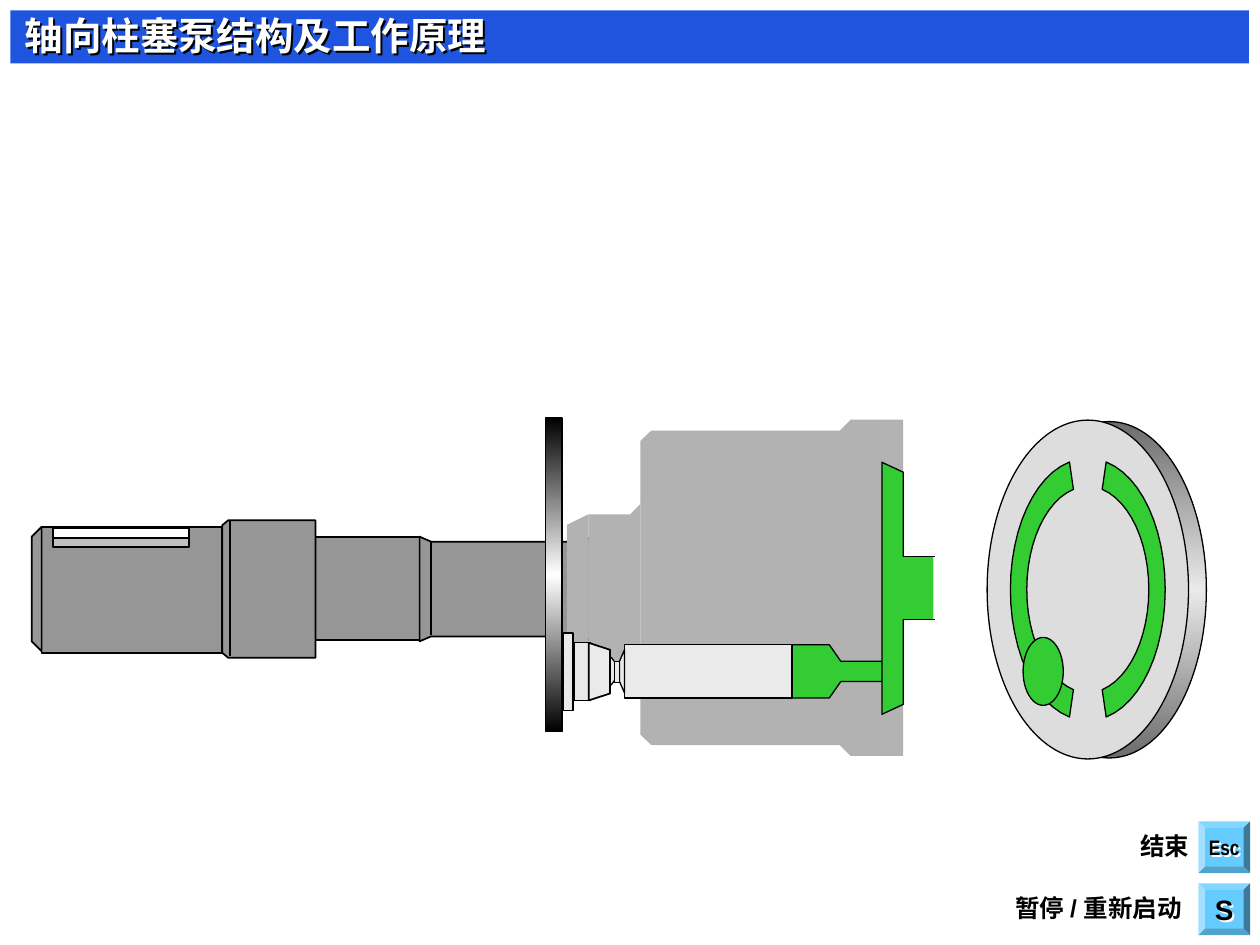
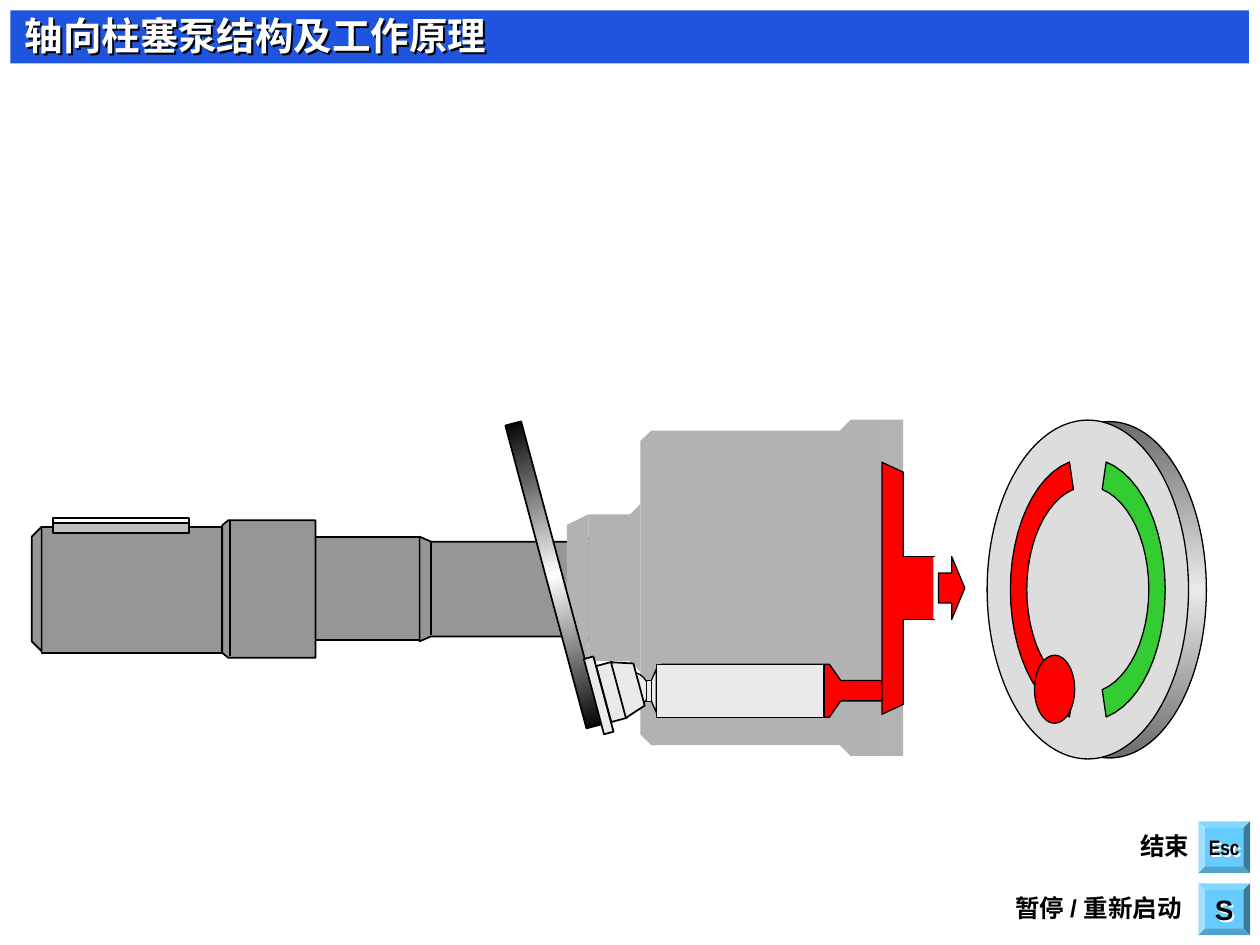
import copy
import math
from collections import namedtuple

import pptx
import pptx.util
from lxml import etree
from pptx.dml.color import RGBColor
from pptx.enum.shapes import MSO_CONNECTOR, MSO_SHAPE
from pptx.enum.text import MSO_ANCHOR, MSO_AUTO_SIZE, PP_ALIGN
from pptx.oxml.ns import qn
from pptx.util import Cm

BLACK = RGBColor(0x00, 0x00, 0x00)
WHITE = RGBColor(0xFF, 0xFF, 0xFF)
BAND = RGBColor(0x1E, 0x54, 0xDE)
BUTTON = RGBColor(0x66, 0xCC, 0xFF)
SUCTION = RGBColor(0x33, 0xCC, 0x33)
PRESSURE = RGBColor(0xFF, 0x00, 0x00)
SHAFT = RGBColor(0x96, 0x96, 0x96)
BLOCK = RGBColor(0xB2, 0xB2, 0xB2)
FLANGE = RGBColor(0xB3, 0xB3, 0xB3)
STEEL = RGBColor(0xEA, 0xEA, 0xEA)
FACE = RGBColor(0xDD, 0xDD, 0xDD)
RIM = RGBColor(0x6C, 0x6C, 0x6C)
KEYWAY = RGBColor(0xC0, 0xC0, 0xC0)

THIN, MEDIUM = 0.75, 1
TITLE = "轴向柱塞泵结构及工作原理"

# All lengths are in centimetres
Box = namedtuple("Box", "left top width height")


# Drawing helpers
def paint(sp, fill, line):
    """Fill with one colour, or with a list of edge and middle colours."""
    sp.shadow.inherit = False
    if isinstance(fill, list):
        edge, middle = fill
        sp.fill.gradient()
        sp.fill.gradient_angle = 90
        stops = sp._element.spPr.find(".//" + qn("a:gsLst"))
        stops.append(copy.deepcopy(stops[-1]))
        for stop, color, position in zip(sp.fill.gradient_stops, (edge, middle, edge), (0, 0.5, 1)):
            stop.color.rgb = color
            stop.position = position
    else:
        sp.fill.solid()
        sp.fill.fore_color.rgb = fill
    if line:
        sp.line.color.rgb = BLACK
        sp.line.width = pptx.util.Pt(line)
    else:
        sp.line.fill.background()


def preset(s, kind, box, x, y, w, h, fill, line=None):
    sp = s.shapes.add_shape(kind, Cm(box.left + x), Cm(box.top + y), Cm(w), Cm(h))
    paint(sp, fill, line)
    return sp


def rect(s, box, *args):
    return preset(s, MSO_SHAPE.RECTANGLE, box, *args)


def ellipse(s, box, *args):
    return preset(s, MSO_SHAPE.OVAL, box, *args)


def outline(s, box, points, fill, line=None):
    points = [(Cm(x), Cm(y)) for x, y in points]
    builder = s.shapes.build_freeform(*points[0])
    builder.add_line_segments(points[1:], close=True)
    paint(builder.convert_to_shape(Cm(box.left), Cm(box.top)), fill, line)


def mirrored(half, height):
    """Complete an upper profile with its reflection in the horizontal axis."""
    return half + [(x, height - y) for x, y in reversed(half)]


def straight(s, box, x1, y1, x2, y2, width):
    c = s.shapes.add_connector(MSO_CONNECTOR.STRAIGHT, Cm(box.left + x1), Cm(box.top + y1),
                               Cm(box.left + x2), Cm(box.top + y2))
    c.line.color.rgb = BLACK
    c.line.width = pptx.util.Pt(width)
    etree.SubElement(c._element.spPr, qn("a:effectLst"))


def text_shadow(sp, color):
    effects = etree.SubElement(sp._element.spPr, qn("a:effectLst"))
    shadow = etree.SubElement(effects, qn("a:outerShdw"), dist="20000", dir="2700000", algn="ctr", rotWithShape="0")
    etree.SubElement(shadow, qn("a:srgbClr"), val=str(color))


def write(sp, text, size, color, font, align, inset=0.25):
    tf = sp.text_frame
    tf.word_wrap = False
    tf.auto_size = MSO_AUTO_SIZE.NONE
    tf.vertical_anchor = MSO_ANCHOR.MIDDLE
    tf.margin_left = tf.margin_right = Cm(inset)
    tf.margin_top = tf.margin_bottom = 0
    p = tf.paragraphs[0]
    p.text = text
    p.alignment = align
    p.font.name = font
    p.font.size = pptx.util.Pt(size)
    p.font.bold = True
    p.font.color.rgb = color


# Title on its blue band
def header(s, box):
    band = rect(s, box, 0, 0, box.width, box.height, BAND)
    s.shapes._spTree.insert(2, band._element)
    sp = s.shapes.title
    sp.left, sp.top = Cm(box.left + 0.04), Cm(box.top - 0.1)
    sp.width, sp.height = Cm(9.8), Cm(1.19)
    write(sp, TITLE, 22, WHITE, "Arial Narrow", PP_ALIGN.LEFT)
    text_shadow(sp, BLACK)


# Key hints in the lower right corner
def key_hints(s, box):
    side = 1.04
    pitch = box.height - side
    hints = [("Esc", 12, "Arial Narrow", "结束", 1.5, 4.24),
             ("S", 16, "Arial", "暂停 / 重新启动", 4.09, 4.09)]
    for i, (key, size, font, label, width, right) in enumerate(hints):
        x, y = box.width - side, i * pitch
        button = preset(s, MSO_SHAPE.BEVEL, box, x, y, side, side, BUTTON)
        button.adjustments[0] = 0.125
        sp = s.shapes.add_textbox(Cm(box.left + x), Cm(box.top + y), Cm(side), Cm(side))
        write(sp, key, size, BLACK, font, PP_ALIGN.CENTER, 0)
        text_shadow(sp, WHITE)
        sp = s.shapes.add_textbox(Cm(box.left + right - width), Cm(box.top + y + 0.05), Cm(width), Cm(0.86))
        write(sp, label, 14, BLACK, "Arial", PP_ALIGN.RIGHT)


# Valve plate with its two kidney-shaped ports
def bezier(p0, p1, p2, p3, steps=12):
    points = []
    for i in range(steps + 1):
        t = i / steps
        weights = ((1 - t) ** 3, 3 * t * (1 - t) ** 2, 3 * t * t * (1 - t), t ** 3)
        points.append(tuple(sum(w * p[axis] for w, p in zip(weights, (p0, p1, p2, p3))) for axis in (0, 1)))
    return points


def valve_plate(s, box, left_port, piston_x, piston_y):
    ellipse(s, box, 0.51, 0.03, 3.91, 6.78, [RIM, STEEL], THIN)
    ellipse(s, box, 0, 0, box.width, box.height, FACE, THIN)
    center = Box(box.left + box.width / 2, box.top + box.height / 2, 0, 0)
    inner = mirrored(bezier((-0.29, -2.02), (-0.85, -1.78), (-1.23, -0.95), (-1.23, 0)), 0)
    outer = mirrored(bezier((-0.37, -2.57), (-1.08, -2.29), (-1.56, -1.22), (-1.56, 0)), 0)
    port = inner + outer[::-1]
    outline(s, center, port, left_port, THIN)
    outline(s, center, [(-x, y) for x, y in port], SUCTION, THIN)
    w, h = 0.81, 1.37
    ellipse(s, center, piston_x - w / 2, piston_y - h / 2, w, h, left_port, THIN)


# Drive shaft; key_faces holds (top, height, fill) from back to front
def drive_shaft(s, box, key_faces):
    h = box.height
    rect(s, box, 5.69, 0.33, 2.13, 2.08, SHAFT, MEDIUM)
    outline(s, box, mirrored([(5.72, 0), (3.96, 0), (3.84, 0.1)], h), SHAFT, MEDIUM)
    rect(s, box, 0.2, 0.13, 3.63, 2.54, SHAFT, MEDIUM)
    outline(s, box, mirrored([(0.2, 0.13), (0, 0.33)], h), SHAFT, MEDIUM)
    straight(s, box, 3.99, 0, 3.99, 2.74, MEDIUM)
    spline = [(7.82, 0.33), (8.05, 0.43), (11.07, 0.43), (11.3, 0.33)]
    # The lower edge runs back from right to left
    outline(s, box, mirrored(spline, h), SHAFT, MEDIUM)
    for x in (8.05, 11.1):
        straight(s, box, x, 0.43, x, 2.31, MEDIUM)
    for top, height, fill in key_faces:
        rect(s, box, 0.43, top, 2.74, height, fill, MEDIUM)


# Cylinder block
def cylinder_block(s, box):
    h = box.height
    rect(s, box, 6.35, 0, 0.43, h, FLANGE)
    body = [(6.35, 0), (5.72, 0), (5.5, 0.22), (1.7, 0.22), (1.48, 0.43)]
    shoulder = [(1.48, 1.7), (1.27, 1.91)]
    nose = [(0.43, 1.91), (0, 2.12)]
    for profile in (body, shoulder):
        outline(s, box, mirrored(profile, h), BLOCK)
    rect(s, box, 0.43, 1.91, 0.84, 2.96, BLOCK)
    outline(s, box, mirrored(nose, h), BLOCK)


# Swash plate
def swash_plate(s, box, tilt):
    rect(s, box, 0, 0, box.width, box.height, [BLACK, WHITE], MEDIUM).rotation = tilt


# Oil chamber in front of the piston
def chamber(s, box, fluid):
    profile = [(0, 0), (3.38, 0), (3.61, 0.33), (4.45, 0.33)]
    outline(s, box, mirrored(profile, box.height), fluid, THIN)


# Piston with ball joint
def piston(s, box):
    ellipse(s, box, 0, 0.15, 0.76, 0.76, STEEL, THIN)
    rect(s, box, 0.91, 0, 3.38, box.height, STEEL, THIN)
    outline(s, box, mirrored([(0.91, 0.1), (0.81, 0.33)], box.height), STEEL, THIN)
    rect(s, box, 0.71, 0.33, 0.1, 0.43, STEEL, THIN)


# Slipper, turned about the top left corner of its box
def slipper(s, box, tilt):
    a = math.radians(tilt)

    def turn(x, y):
        return x * math.cos(a) - y * math.sin(a), x * math.sin(a) + y * math.cos(a)

    for offset, w, h in ((-0.61, 0.2, 1.57), (-0.34, 0.33, 1.17)):
        x, y = turn(offset, 0)
        rect(s, box, x - w / 2, y - h / 2, w, h, STEEL, MEDIUM).rotation = tilt
    tip = mirrored([(-0.2, -0.58), (0.23, -0.44)], 0)
    outline(s, box, [turn(x, y) for x, y in tip], STEEL, MEDIUM)


# Oil port behind the cylinder block
def oil_port(s, box, fluid, arrow):
    outline(s, box, mirrored([(0.43, 0.2), (0, 0)], box.height), fluid, THIN)
    top, height = 1.9, 1.27
    rect(s, box, 0.2, top, 0.84, height, fluid)
    for y in (top, top + height):
        straight(s, box, 0.43, y, 1.07, y, THIN)
    if arrow:
        sp = preset(s, MSO_SHAPE.RIGHT_ARROW, box, 1.14, top, 0.53, height, fluid, THIN)
        sp.adjustments[0], sp.adjustments[1] = 0.475, 0.5


# One state of the pump
def pump_slide(prs, fluid, tilt, piston_at, slipper_at, port_piston, key_faces, arrow):
    s = prs.slides.add_slide(prs.slide_layouts[5])
    header(s, Box(0.21, 0.21, 24.97, 1.07))
    key_hints(s, Box(19.99, 16.56, 5.21, 2.29))
    valve_plate(s, Box(19.9, 8.47, 4.06, 6.83), fluid, *port_piston)
    drive_shaft(s, Box(0.64, 10.49, 11.3, 2.77), key_faces)
    cylinder_block(s, Box(11.43, 8.46, 6.78, 6.78))
    swash_plate(s, Box(11, 8.43, 0.33, 6.32), tilt)
    x, y = piston_at
    chamber(s, Box(13.34, y, 4.45, 1.07), fluid)
    piston(s, Box(x, y, 4.29, 1.07))
    slipper(s, Box(*slipper_at, 0, 0), tilt)
    oil_port(s, Box(17.78, 9.32, 1.07, 5.08), fluid, arrow)


def main():
    prs = pptx.Presentation()
    prs.slide_width, prs.slide_height = Cm(25.4), Cm(19.05)
    pump_slide(prs, SUCTION, 0, (11.68, 13), (12.07, 13.54), (-0.9, 1.65),
               [(0.36, 0.18, KEYWAY), (0.15, 0.2, WHITE)], arrow=False)
    pump_slide(prs, PRESSURE, -15, (12.32, 13.39), (12.66, 13.86), (-0.67, 2.01),
               [(-0.05, 0.1, WHITE), (0.05, 0.2, KEYWAY)], arrow=True)
    prs.save("out.pptx")


if __name__ == "__main__":
    main()
